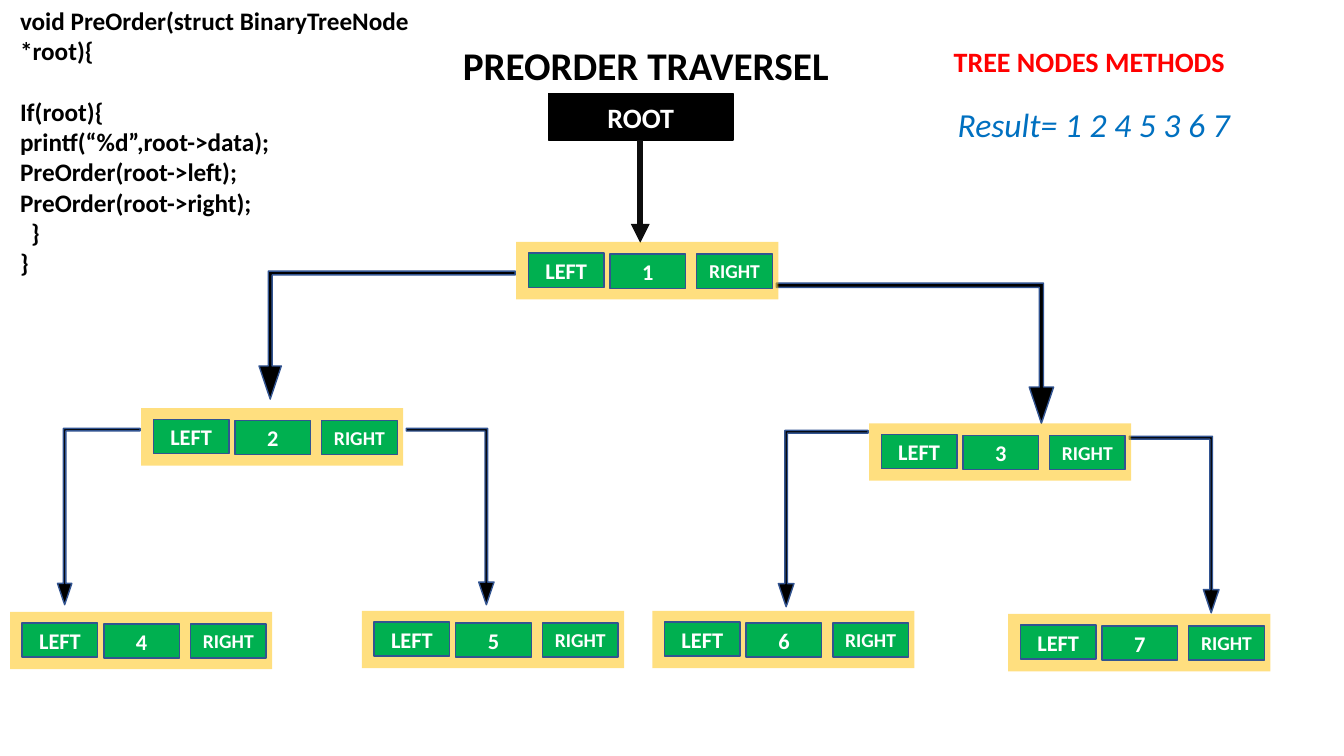
from lxml import etree
from pptx import Presentation
from pptx.dml.color import RGBColor
from pptx.enum.shapes import MSO_CONNECTOR, MSO_SHAPE
from pptx.enum.text import MSO_ANCHOR, MSO_AUTO_SIZE, PP_ALIGN
from pptx.oxml.ns import qn
from pptx.util import Inches, Pt

RECTANGLE = MSO_SHAPE.RECTANGLE
BENT_ARROW = MSO_SHAPE.BENT_UP_ARROW
STRAIGHT = MSO_CONNECTOR.STRAIGHT
TOP, MIDDLE = MSO_ANCHOR.TOP, MSO_ANCHOR.MIDDLE
LEFT, CENTER = PP_ALIGN.LEFT, PP_ALIGN.CENTER
NO_AUTOFIT = MSO_AUTO_SIZE.NONE

COLORS = {
    "black": "000000", "white": "FFFFFF", "stem": "0D0D0D", "edge": "325491",
    "gold": "FFC000", "green": "00B050", "red": "FF0000", "blue": "0070C0",
}


def write(box, text, size, color, bold=True, italic=False, align=LEFT, anchor=TOP):
    frame = box.text_frame
    frame.word_wrap = True
    frame.auto_size = NO_AUTOFIT
    frame.vertical_anchor = anchor
    for index, line in enumerate(text.split("\n")):
        para = frame.paragraphs[0] if index == 0 else frame.add_paragraph()
        para.alignment = align
        para.line_spacing = 1.0
        span = para.add_run()
        span.text = line
        span.font.name = "Calibri"
        span.font.size = Pt(size)
        span.font.bold = bold
        span.font.italic = italic
        span.font.color.rgb = RGBColor.from_string(COLORS[color])


def add_block(shapes, preset, place, fill, line=None):
    block = shapes.add_shape(preset, *map(Inches, place))
    block.shadow.inherit = False
    block.fill.solid()
    block.fill.fore_color.rgb = RGBColor.from_string(COLORS[fill])
    if line:
        block.line.color.rgb = RGBColor.from_string(COLORS[line])
        block.line.width = Pt(1)
    else:
        block.line.fill.background()
    return block


deck = Presentation()
deck.slide_width = Inches(13.33)
deck.slide_height = Inches(7.5)
page = deck.slides.add_slide(deck.slide_layouts[5])

title = page.shapes.title
title.left, title.top, title.width, title.height = map(Inches, (4.49, 0.36, 4.36, 0.57))
write(title, "PREORDER TRAVERSEL", size=28, color="black")

root = add_block(page.shapes, RECTANGLE, (5.44, 0.93, 1.83, 0.46), "black", "black")
write(root, "ROOT", size=20, color="white", align=CENTER, anchor=MIDDLE)

stem = page.shapes.add_connector(
    STRAIGHT, Inches(6.35), Inches(1.39), Inches(6.35), Inches(2.41))
stem.line.color.rgb = RGBColor.from_string(COLORS["stem"])
stem.line.width = Pt(4.5)
etree.SubElement(stem.line._get_or_add_ln(), qn("a:tailEnd"), type="triangle")
etree.SubElement(stem._element.spPr, qn("a:effectLst"))

branches = [
    ("left", (2.57, 2.69, 2.54, 1.27)),
    ("right", (7.7, 2.81, 2.75, 1.39)),
    ("left", (0.57, 4.25, 0.82, 1.75)),
    ("right", (4.03, 4.25, 0.87, 1.75)),
    ("left", (7.72, 4.27, 0.89, 1.75)),
    ("right", (11.2, 4.33, 0.89, 1.75)),
]
for side, place in branches:
    branch = add_block(page.shapes, BENT_ARROW, place, "black", "edge")
    for index, ratio in enumerate((0.03, 0.087, 0.259)):
        branch.adjustments[index] = ratio
    transform = branch._element.spPr.find(qn("a:xfrm"))
    transform.set("flipV", "1")
    if side == "left":
        transform.set("flipH", "1")

nodes = [
    ("1", 5.12, 2.4), ("2", 1.4, 4.05), ("3", 8.62, 4.2), ("4", 0.1, 6.07),
    ("5", 3.59, 6.06), ("6", 6.47, 6.06), ("7", 10, 6.09),
]
for value, left, top in nodes:
    node = page.shapes.add_group_shape()
    frame = add_block(node.shapes, RECTANGLE, (left, top, 2.6, 0.57), "gold")
    gold = frame._element.spPr.find(qn("a:solidFill"))[0]
    etree.SubElement(gold, qn("a:alpha"), val="50000")
    cells = [("LEFT", 0.12, 0.11, 16), (value, 0.93, 0.12, 16), ("RIGHT", 1.79, 0.12, 14)]
    for label, across, down, size in cells:
        place = (left + across, top + down, 0.75, 0.34)
        cell = add_block(node.shapes, RECTANGLE, place, "green", "edge")
        write(cell, label, size=size, color="white", align=CENTER, anchor=MIDDLE)

heading = page.shapes.add_textbox(*map(Inches, (9.36, 0.39, 3.25, 0.44)))
write(heading, "TREE NODES METHODS", size=20, color="red")

code = page.shapes.add_textbox(*map(Inches, (0.1, 0, 4.28, 2.83)))
write(code, """void PreOrder(struct BinaryTreeNode *root){
If(root){
printf(“%d”,root->data);
PreOrder(root->left);
PreOrder(root->right);
}
}""", size=18, color="black")
code_lines = code.text_frame.paragraphs
code_lines[1].space_before = Pt(22)
code_lines[5]._p.get_or_add_pPr().set("marL", str(Inches(0.11)))

result = page.shapes.add_textbox(*map(Inches, (9.4, 0.98, 3.6, 0.5)))
write(result, "Result= 1 2 4 5 3 6 7", size=24, color="blue", bold=False, italic=True)

deck.save("out.pptx")
